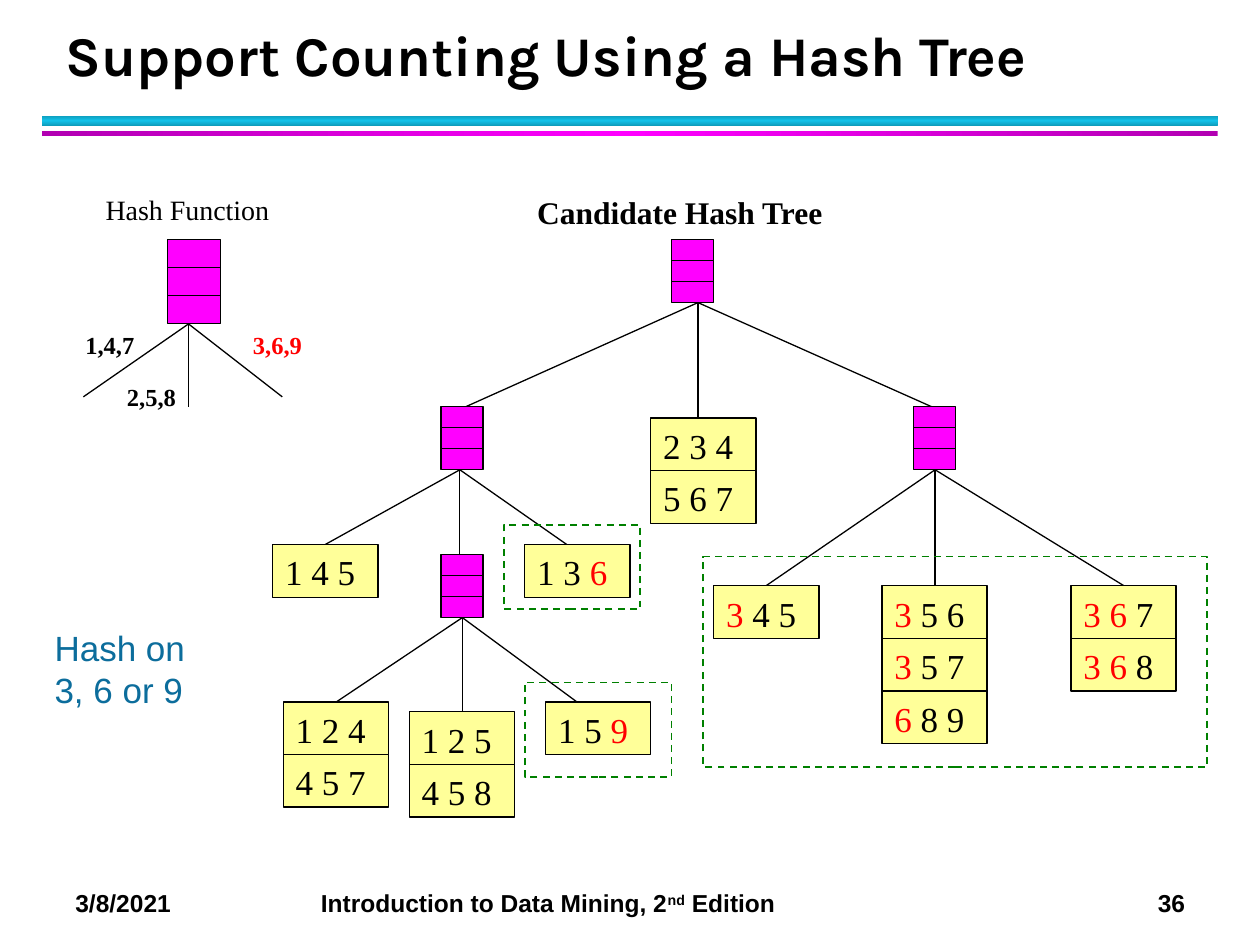
"""Build the slide on support counting with a candidate hash tree."""
import copy

import pptx
import pptx.dml.color
import pptx.enum.dml
import pptx.enum.shapes
import pptx.enum.text
import pptx.oxml.ns
import pptx.util
from lxml import etree

Cm = pptx.util.Cm
Pt = pptx.util.Pt
RGBColor = pptx.dml.color.RGBColor
RECTANGLE = pptx.enum.shapes.MSO_SHAPE.RECTANGLE
ANCHOR = pptx.enum.text.MSO_ANCHOR
qn = pptx.oxml.ns.qn

BLACK = RGBColor(0x00, 0x00, 0x00)
RED = RGBColor(0xFF, 0x00, 0x00)
GREEN = RGBColor(0x00, 0x80, 0x00)
BLUE = RGBColor(0x0C, 0x6D, 0x9C)
MAGENTA = RGBColor(0xFF, 0x00, 0xFF)
DARK_MAGENTA = RGBColor(0xB2, 0x00, 0xB2)
CYAN = RGBColor(0x12, 0xC2, 0xE9)
DARK_CYAN = RGBColor(0x0E, 0x9B, 0xBA)
YELLOW = RGBColor(0xFF, 0xFF, 0x99)


def write_text(shape, text, size=20, name="Times New Roman", color=BLACK,
               bold=False, anchor=ANCHOR.TOP, wrap=False):
    """Write text into a shape; parts between bars are red."""
    frame = shape.text_frame
    frame.word_wrap = wrap
    frame.auto_size = pptx.enum.text.MSO_AUTO_SIZE.NONE
    frame.vertical_anchor = anchor
    paragraph = frame.paragraphs[0]
    paragraph.alignment = pptx.enum.text.PP_ALIGN.LEFT
    for index, part in enumerate(text.split("|")):
        if part:
            run = paragraph.add_run()
            run.text = part
            run.font.size = Pt(size)
            run.font.name = name
            run.font.bold = bold
            run.font.color.rgb = RED if index % 2 else color
    return paragraph


def add_line(x1, y1, x2, y2):
    """Draw a thin black line between two points in centimetres."""
    line = slide.shapes.add_connector(
        pptx.enum.shapes.MSO_CONNECTOR.STRAIGHT, Cm(x1), Cm(y1), Cm(x2), Cm(y2))
    line.line.color.rgb = BLACK
    line.line.width = Pt(0.75)
    etree.SubElement(line._element.spPr, qn("a:effectLst"))


presentation = pptx.Presentation()
presentation.slide_width = Cm(25.4)
presentation.slide_height = Cm(19.05)
slide = presentation.slides.add_slide(presentation.slide_layouts[5])

title = slide.shapes.title
title.left, title.top, title.width, title.height = Cm(1.07), Cm(0.43), Cm(23.01), Cm(1.47)
paragraph = write_text(title, "Support Counting Using a Hash Tree", size=32,
                       name="Karla", bold=True, anchor=ANCHOR.BOTTOM, wrap=True)
paragraph.line_spacing = 1.12

bars = [(2.33, 0.21, DARK_CYAN, CYAN, 90), (2.64, 0.1, DARK_MAGENTA, MAGENTA, 0)]
for top, height, edge, middle, angle in bars:
    bar = slide.shapes.add_shape(RECTANGLE, Cm(0.85), Cm(top), Cm(23.7), Cm(height))
    bar.shadow.inherit = False
    bar.line.fill.background()
    bar.fill.gradient()
    bar.fill.gradient_angle = angle
    stop_list = bar._element.spPr.find(".//" + qn("a:gsLst"))
    stop_list.append(copy.deepcopy(stop_list[0]))
    for stop, position, color in zip(bar.fill.gradient_stops, (0, 0.5, 1), (edge, middle, edge)):
        stop.position = position
        stop.color.rgb = color

branches = [
    (14.07, 6.1, [(9.32, 8.23), (14.07, 8.43), (18.85, 8.23)]),
    (9.27, 9.47, [(6.55, 10.98), (9.27, 11.18), (11.43, 10.98)]),
    (18.85, 9.47, [(15.44, 11.81), (18.85, 11.81), (22.66, 11.81)]),
    (9.32, 12.45, [(6.78, 14.15), (9.32, 14.35), (11.63, 14.15)]),
    (3.8, 6.53, [(1.68, 8), (3.8, 8.2), (5.69, 8)]),
]
for x, y, children in branches:
    for child_x, child_y in children:
        add_line(x, y, child_x, child_y)

nodes = [
    (13.54, 4.83, 0.85, 1.27),
    (8.89, 8.2, 0.85, 1.27),
    (18.42, 8.2, 0.85, 1.27),
    (8.89, 11.18, 0.85, 1.27),
    (3.38, 4.83, 1.06, 1.7),
]
for left, top, width, height in nodes:
    node = slide.shapes.add_shape(RECTANGLE, Cm(left), Cm(top), Cm(width), Cm(height))
    node.shadow.inherit = False
    node.fill.solid()
    node.fill.fore_color.rgb = MAGENTA
    node.line.color.rgb = BLACK
    node.line.width = Pt(0.75)
    for third in (1, 2):
        y = top + height * third / 3
        add_line(left, y, left + width, y)

leaf_height = 1.06
leaves = [
    (13.12, 8.43, ["2 3 4", "5 6 7"]),
    (5.5, 10.98, ["1 4 5"]),
    (10.58, 10.98, ["1 3 |6|"]),
    (14.39, 11.81, ["|3| 4 5"]),
    (17.78, 11.81, ["|3| 5 6", "|3| 5 7", "|6| 8 9"]),
    (21.59, 11.81, ["|3 6| 7", "|3 6| 8"]),
    (5.71, 14.15, ["1 2 4", "4 5 7"]),
    (8.25, 14.35, ["1 2 5", "4 5 8"]),
    (11, 14.15, ["1 5 |9|"]),
]
for left, top, itemsets in leaves:
    for row, itemset in enumerate(itemsets):
        leaf = slide.shapes.add_shape(
            RECTANGLE, Cm(left), Cm(top + row * leaf_height), Cm(2.12), Cm(leaf_height))
        leaf.shadow.inherit = False
        leaf.fill.solid()
        leaf.fill.fore_color.rgb = YELLOW
        leaf.line.color.rgb = BLACK
        leaf.line.width = Pt(0.75)
        write_text(leaf, itemset)

matches = [(10.58, 13.76, 2.96, 1.9), (14.18, 11.22, 10.16, 4.24), (10.16, 10.58, 2.75, 1.7)]
for left, top, width, height in matches:
    match = slide.shapes.add_shape(RECTANGLE, Cm(left), Cm(top), Cm(width), Cm(height))
    match.shadow.inherit = False
    match.fill.background()
    match.line.color.rgb = GREEN
    match.line.width = Pt(1)
    match.line.dash_style = pptx.enum.dml.MSO_LINE.DASH

labels = [
    (1.47, 6.53, 1.5, 0.84, "1,4,7", {"size": 14, "bold": True}),
    (2.31, 7.57, 1.5, 0.84, "2,5,8", {"size": 14, "bold": True}),
    (4.85, 6.53, 1.5, 0.84, "|3,6,9|", {"size": 14, "bold": True}),
    (1.88, 3.76, 3.84, 0.94, "Hash Function", {"size": 16}),
    (10.58, 3.76, 6.32, 1.02, "Candidate Hash Tree", {"size": 18, "bold": True}),
    (0.85, 12.5, 3.18, 1.96, "Hash on 3, 6 or 9", {"name": "Arial", "color": BLUE, "wrap": True}),
]
for left, top, width, height, text, text_format in labels:
    label = slide.shapes.add_textbox(Cm(left), Cm(top), Cm(width), Cm(height))
    write_text(label, text, **text_format)

footer = slide.shapes.add_textbox(Cm(1.27), Cm(17.78), Cm(23.7), Cm(0.86))
properties = footer.text_frame.paragraphs[0]._p.get_or_add_pPr()
tab_list = etree.SubElement(properties, qn("a:tabLst"))
for position in (4.95, 21.82):
    etree.SubElement(tab_list, qn("a:tab"), pos=str(Cm(position)), algn="l")
footer_format = {"size": 14, "name": "Arial", "bold": True, "wrap": True}
for text in ("3/8/2021\tIntroduction to Data Mining, 2", "nd", " Edition\t36"):
    paragraph = write_text(footer, text, **footer_format)
paragraph.runs[1].font._element.set("baseline", "30000")

presentation.save("out.pptx")
